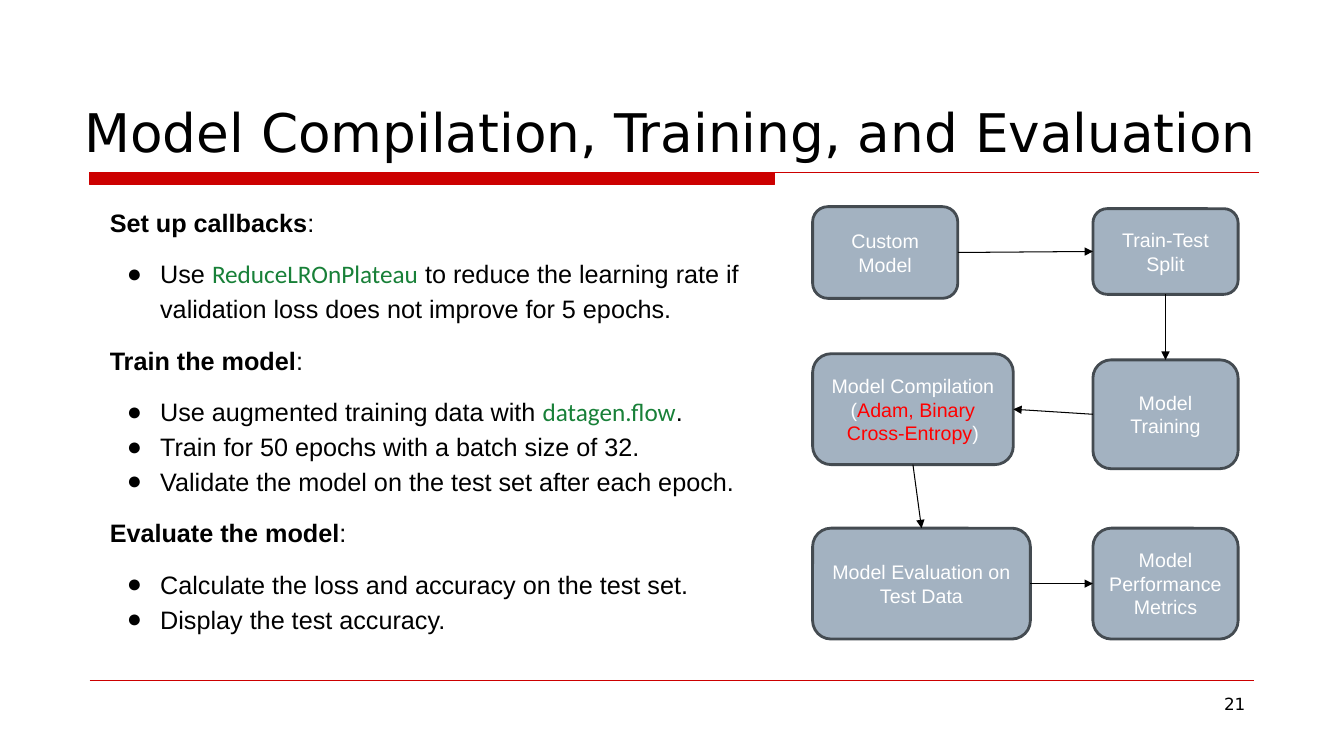
"""Build the slide on model compilation, training and evaluation."""
from dataclasses import dataclass

from lxml import etree
from pptx import Presentation
from pptx.dml.color import RGBColor
from pptx.enum.shapes import MSO_CONNECTOR, MSO_SHAPE
from pptx.enum.text import MSO_ANCHOR, PP_ALIGN
from pptx.oxml.ns import qn
from pptx.util import Inches, Pt

STRAIGHT = MSO_CONNECTOR.STRAIGHT
RECTANGLE, ROUNDED = MSO_SHAPE.RECTANGLE, MSO_SHAPE.ROUNDED_RECTANGLE
TOP, MIDDLE, BOTTOM = MSO_ANCHOR.TOP, MSO_ANCHOR.MIDDLE, MSO_ANCHOR.BOTTOM
LEFT, CENTER, RIGHT = PP_ALIGN.LEFT, PP_ALIGN.CENTER, PP_ALIGN.RIGHT
SITE_TOP, SITE_LEFT, SITE_BOTTOM, SITE_RIGHT = range(4)

COLORS = {
    "text": "000000",
    "accent": "CC0000",
    "code": "188038",
    "box": "A3B2C1",
    "border": "444B51",
    "label": "FFFFFF",
    "highlight": "FF0000",
}


@dataclass(frozen=True)
class Span:
    text: str
    color: str = "text"
    font: str = "Arial"
    bold: bool = False


@dataclass(frozen=True)
class Para:
    spans: tuple[Span, ...]
    bullet: bool = False
    space_before: int = 0


@dataclass(frozen=True)
class Step:
    name: str
    left: float
    top: float
    width: float
    height: float
    spans: tuple[Span, ...]


@dataclass(frozen=True)
class Arrow:
    start: str
    start_site: int
    end: str
    end_site: int


def heading(text: str) -> Para:
    return Para((Span(text, bold=True), Span(":")), space_before=12)


def bullet(*spans: Span, space_before: int = 0) -> Para:
    return Para(spans, True, space_before)


def code(text: str) -> Span:
    return Span(text, "code", "Calibri")


def label(text: str) -> Span:
    return Span(text, "label")


BODY = (
    heading("Set up callbacks"),
    bullet(
        Span("Use "),
        code("ReduceLROnPlateau"),
        Span(" to reduce the learning rate if validation loss does not improve for 5 epochs."),
        space_before=12,
    ),
    heading("Train the model"),
    bullet(Span("Use augmented training data with "), code("datagen.flow"), Span("."), space_before=12),
    bullet(Span("Train for 50 epochs with a batch size of 32.")),
    bullet(Span("Validate the model on the test set after each epoch.")),
    heading("Evaluate the model"),
    bullet(Span("Calculate the loss and accuracy on the test set."), space_before=12),
    bullet(Span("Display the test accuracy.")),
)

LEFT_COLUMN, RIGHT_COLUMN = 8.06, 10.84
STEPS = (
    Step("custom", LEFT_COLUMN, 2.05, 1.44, 0.91, (label("Custom Model"),)),
    Step("split", RIGHT_COLUMN, 2.07, 1.44, 0.85, (label("Train-Test Split"),)),
    Step("training", RIGHT_COLUMN, 3.57, 1.44, 1.08, (label("Model Training"),)),
    Step("compilation", LEFT_COLUMN, 3.51, 1.99, 1.1, (
        label("Model Compilation ("),
        Span("Adam, Binary Cross-Entropy", "highlight"),
        label(")"),
    )),
    Step("evaluation", LEFT_COLUMN, 5.24, 2.16, 1.1, (label("Model Evaluation on Test Data"),)),
    Step("metrics", RIGHT_COLUMN, 5.24, 1.44, 1.1, (label("Model Performance Metrics"),)),
)
ARROWS = (
    Arrow("custom", SITE_RIGHT, "split", SITE_LEFT),
    Arrow("split", SITE_BOTTOM, "training", SITE_TOP),
    Arrow("training", SITE_LEFT, "compilation", SITE_RIGHT),
    Arrow("compilation", SITE_BOTTOM, "evaluation", SITE_TOP),
    Arrow("evaluation", SITE_RIGHT, "metrics", SITE_LEFT),
)


def rgb(name: str) -> RGBColor:
    return RGBColor.from_string(COLORS[name])


def add_spans(para, spans: tuple[Span, ...], size: int) -> None:
    for span in spans:
        run = para.add_run()
        run.text = span.text
        run.font.size = Pt(size)
        run.font.name = span.font
        run.font.bold = span.bold
        run.font.color.rgb = rgb(span.color)


def add_bullet(para) -> None:
    properties = para._p.get_or_add_pPr()
    properties.set("marL", str(Inches(0.5)))
    properties.set("indent", str(Inches(-0.33)))
    color = etree.SubElement(properties, qn("a:buClr"))
    etree.SubElement(color, qn("a:srgbClr"), val=COLORS["text"])
    etree.SubElement(properties, qn("a:buFont"), typeface="Arial")
    etree.SubElement(properties, qn("a:buChar"), char="●")


def add_text(page, left: float, top: float, width: float, height: float, anchor=TOP):
    box = page.shapes.add_textbox(Inches(left), Inches(top), Inches(width), Inches(height))
    frame = box.text_frame
    frame.word_wrap = True
    frame.vertical_anchor = anchor
    return frame


def add_body(page) -> None:
    frame = add_text(page, 0.99, 1.96, 6.52, 4.59)
    for index, item in enumerate(BODY):
        para = frame.add_paragraph() if index else frame.paragraphs[0]
        para.alignment = LEFT
        para.line_spacing = 1.15
        para.space_before = Pt(item.space_before)
        if item.bullet:
            add_bullet(para)
        add_spans(para, item.spans, 18)


def add_box(page, kind, left: float, top: float, width: float, height: float,
            fill: str, border: str, weight: float):
    box = page.shapes.add_shape(kind, Inches(left), Inches(top), Inches(width), Inches(height))
    box.shadow.inherit = False
    box.fill.solid()
    box.fill.fore_color.rgb = rgb(fill)
    box.line.color.rgb = rgb(border)
    box.line.width = Pt(weight)
    return box


def add_step(page, step: Step):
    box = add_box(page, ROUNDED, step.left, step.top, step.width, step.height, "box", "border", 2)
    frame = box.text_frame
    frame.word_wrap = True
    frame.vertical_anchor = MIDDLE
    frame.paragraphs[0].alignment = CENTER
    add_spans(frame.paragraphs[0], step.spans, 14)
    return box


def add_line(page, color: str, left: float = 0, right: float = 0, top: float = 0):
    line = page.shapes.add_connector(STRAIGHT, Inches(left), Inches(top), Inches(right), Inches(top))
    line.line.color.rgb = rgb(color)
    line.line.width = Pt(0.75)
    etree.SubElement(line._element.spPr, qn("a:effectLst"))
    return line


def add_arrow(page, arrow: Arrow, boxes: dict) -> None:
    line = add_line(page, "text")
    line.begin_connect(boxes[arrow.start], arrow.start_site)
    line.end_connect(boxes[arrow.end], arrow.end_site)
    etree.SubElement(line.line._get_or_add_ln(), qn("a:tailEnd"), type="triangle")


def main() -> None:
    deck = Presentation()
    deck.slide_width, deck.slide_height = Inches(13.33), Inches(7.5)
    page = deck.slides.add_slide(deck.slide_layouts[6])
    add_box(page, RECTANGLE, 0.89, 1.71, 6.79, 0.12, "accent", "accent", 0.75)
    add_line(page, "accent", 0.89, 12.49, 1.71)
    add_line(page, "accent", 0.89, 12.44, 6.75)
    title = add_text(page, 0.74, 0.34, 12.59, 1.33, BOTTOM).paragraphs[0]
    add_spans(title, (Span("Model Compilation, Training, and Evaluation", font="DejaVu Sans"),), 38)
    number = add_text(page, 9.56, 6.83, 2.89, 0.52).paragraphs[0]
    number.alignment = RIGHT
    add_spans(number, (Span("21", font="DejaVu Sans"),), 12)
    add_body(page)
    boxes = {step.name: add_step(page, step) for step in STEPS}
    for arrow in ARROWS:
        add_arrow(page, arrow, boxes)
    deck.save("out.pptx")


if __name__ == "__main__":
    main()
